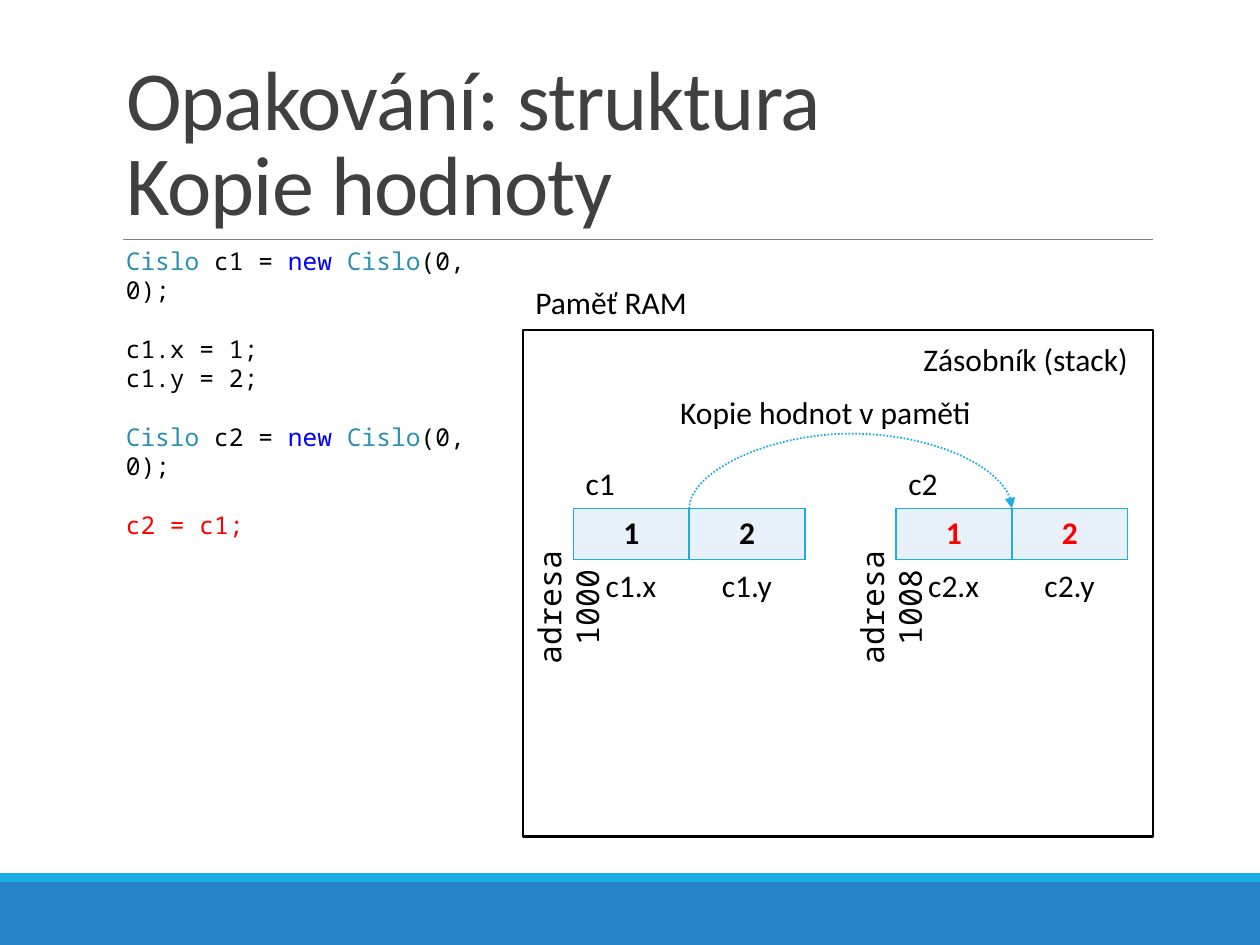
from dataclasses import dataclass

from lxml import etree
from pptx import Presentation
from pptx.dml.color import RGBColor
from pptx.enum.dml import MSO_LINE
from pptx.enum.shapes import MSO_CONNECTOR, MSO_SHAPE
from pptx.enum.text import MSO_ANCHOR, MSO_AUTO_SIZE, PP_ALIGN
from pptx.oxml.ns import qn
from pptx.util import Pt

RECTANGLE = MSO_SHAPE.RECTANGLE
STRAIGHT, CURVE = MSO_CONNECTOR.STRAIGHT, MSO_CONNECTOR.CURVE
LEFT, CENTER = PP_ALIGN.LEFT, PP_ALIGN.CENTER
BOTTOM = MSO_ANCHOR.BOTTOM
NO_FIT, GROW = MSO_AUTO_SIZE.NONE, MSO_AUTO_SIZE.SHAPE_TO_FIT_TEXT
DOTTED = MSO_LINE.ROUND_DOT

COLORS = {
    "black": "000000", "white": "FFFFFF", "title": "404040", "rule": "808080",
    "band": "2683C6", "accent": "1CADE4", "cell": "E8F1FA",
    "type": "2B91AF", "keyword": "0000FF", "red": "FF0000",
}
SANS, MONO = "Calibri", "Noto Sans Mono"
LABEL_HEIGHT = 29
FIELD_WIDTH, FIELD_HEIGHT = 66.24, 29.2
RECORD_WIDTH = 2 * FIELD_WIDTH
RECORD_TOP = 290.6
TEXT_INSET = 7.2
CODE_LINE = 16.75


@dataclass
class Record:
    name: str
    left: float
    address: str
    value_color: str


@dataclass
class CodeLine:
    tokens: list[tuple[str, str]]
    gap_before: bool = False


RECORDS = [
    Record("c1", 327.6, "adresa 1000", "black"),
    Record("c2", 512, "adresa 1008", "red"),
]


def constructor(name: str, gap_before: bool = False) -> CodeLine:
    return CodeLine([("Cislo", "type"), (f" {name} = ", "black"), ("new ", "keyword"),
                     ("Cislo", "type"), ("(0, 0);", "black")], gap_before)


CODE = [
    constructor("c1"),
    CodeLine([("c1.x = 1;", "black")], True),
    CodeLine([("c1.y = 2;", "black")]),
    constructor("c2", True),
    CodeLine([("c2 = c1;", "red")], True),
]


def rgb(color: str) -> RGBColor:
    return RGBColor.from_string(COLORS[color])


def style(font, size: float, color: str, face: str = SANS, bold: bool = False) -> None:
    font.size, font.name, font.bold = Pt(size), face, bold
    font.color.rgb = rgb(color)


def add_box(slide, left: float, top: float, width: float, height: float,
            fill: str, outline: str | None = None) -> None:
    box = slide.shapes.add_shape(RECTANGLE, Pt(left), Pt(top), Pt(width), Pt(height))
    box.shadow.inherit = False
    box.fill.solid()
    box.fill.fore_color.rgb = rgb(fill)
    if outline:
        box.line.color.rgb = rgb(outline)
        box.line.width = Pt(1.25)
    else:
        box.line.fill.background()


def add_label(slide, text: str, left: float, top: float, width: float,
              face: str = SANS, align=LEFT, rotation: float = 0,
              center_tabs: tuple[float, ...] = ()) -> None:
    label = slide.shapes.add_textbox(Pt(left), Pt(top), Pt(width), Pt(LABEL_HEIGHT))
    label.rotation = rotation
    frame = label.text_frame
    frame.word_wrap, frame.auto_size = True, GROW
    frame.text = text
    paragraph = frame.paragraphs[0]
    paragraph.alignment = align
    if center_tabs:
        tabs = etree.SubElement(paragraph._p.get_or_add_pPr(), qn("a:tabLst"))
        for position in center_tabs:
            etree.SubElement(tabs, qn("a:tab"), pos=str(Pt(position)), algn="ctr")
    for run in paragraph.runs:
        style(run.font, 18, "black", face)


def add_line(slide, kind, start: tuple[float, float], end: tuple[float, float],
             color: str, width: float):
    line = slide.shapes.add_connector(kind, *map(Pt, start + end))
    line.line.color.rgb = rgb(color)
    line.line.width = Pt(width)
    etree.SubElement(line._element.spPr, qn("a:effectLst"))
    return line


def add_title(slide) -> None:
    title = slide.shapes.title
    title.left, title.top, title.width, title.height = Pt(64.8), Pt(22.3), Pt(594), Pt(114.5)
    frame = title.text_frame
    frame.text = "Opakování: struktura\vKopie hodnoty"
    frame.vertical_anchor, frame.auto_size = BOTTOM, NO_FIT
    paragraph = frame.paragraphs[0]
    paragraph.alignment, paragraph.line_spacing = LEFT, 0.85
    for run in paragraph.runs:
        style(run.font, 48, "title")
        run._r.get_or_add_rPr().set("spc", "-50")


def add_code(slide) -> None:
    listing = slide.shapes.add_textbox(Pt(64.8), Pt(136.8), Pt(224.6), Pt(143.3))
    frame = listing.text_frame
    frame.word_wrap, frame.auto_size = True, GROW
    for index, code_line in enumerate(CODE):
        paragraph = frame.add_paragraph() if index else frame.paragraphs[0]
        if code_line.gap_before:
            paragraph.space_before = Pt(CODE_LINE)
        for text, color in code_line.tokens:
            run = paragraph.add_run()
            run.text = text
            style(run.font, 14, color, MONO)


def add_border(cell) -> None:
    properties = cell._tc.get_or_add_tcPr()
    for position, side in enumerate(("a:lnL", "a:lnR", "a:lnT", "a:lnB")):
        border = etree.Element(qn(side), w=str(Pt(1)))
        fill = etree.SubElement(border, qn("a:solidFill"))
        etree.SubElement(fill, qn("a:srgbClr"), val=COLORS["accent"])
        properties.insert(position, border)


def add_record(slide, record: Record) -> None:
    table = slide.shapes.add_table(1, 2, Pt(record.left), Pt(RECORD_TOP),
                                   Pt(RECORD_WIDTH), Pt(FIELD_HEIGHT)).table
    table.first_row = table.horz_banding = False
    for column, value in enumerate(("1", "2")):
        table.columns[column].width = Pt(FIELD_WIDTH)
        cell = table.cell(0, column)
        cell.fill.solid()
        cell.fill.fore_color.rgb = rgb("cell")
        add_border(cell)
        cell.text_frame.text = value
        paragraph = cell.text_frame.paragraphs[0]
        paragraph.alignment = CENTER
        style(paragraph.runs[0].font, 18, record.value_color, bold=True)
    field_centers = tuple((i + 0.5) * FIELD_WIDTH - TEXT_INSET for i in range(2))
    add_label(slide, f"\t{record.name}.x\t{record.name}.y", record.left, 319.8,
              RECORD_WIDTH, center_tabs=field_centers)
    add_label(slide, record.address, record.left - 79, 332.6, 130.3, MONO, CENTER, 270)
    add_label(slide, record.name, record.left, 261.4, RECORD_WIDTH)


def add_copy_arrow(slide) -> None:
    start, end = (record.left + FIELD_WIDTH for record in RECORDS)
    middle, span, depth, rise = (start + end) / 2, end - start, 0.2, 43.2
    arrow = add_line(slide, CURVE, (middle + depth / 2, RECORD_TOP + span / 2),
                     (middle - depth / 2, RECORD_TOP - span / 2), "accent", 1)
    arrow.line.dash_style = DOTTED
    etree.SubElement(arrow.line._get_or_add_ln(), qn("a:tailEnd"), type="triangle")
    properties = arrow._element.spPr
    properties.find(qn("a:xfrm")).set("rot", "5400000")
    adjustments = properties.find(qn("a:prstGeom")).find(qn("a:avLst"))
    etree.SubElement(adjustments, qn("a:gd"), name="adj1",
                     fmla=f"val {round(rise / depth * 100000)}")


def main() -> None:
    deck = Presentation()
    deck.slide_width, deck.slide_height = Pt(720), Pt(540)
    slide = deck.slides.add_slide(deck.slide_layouts[5])
    add_box(slide, 0, 504, 720, 36, "band")
    add_box(slide, 0, 499, 720, 5, "accent")
    add_line(slide, STRAIGHT, (70.5, 136.8), (658.8, 136.8), "rule", 0.5)
    add_box(slide, 298.8, 188.6, 360, 289.4, "white", "black")
    add_title(slide)
    add_label(slide, "Paměť RAM", 298.8, 158.4, 134)
    add_code(slide)
    add_label(slide, "Zásobník (stack)", 520.6, 190.8, 151.2)
    for record in RECORDS:
        add_record(slide, record)
    add_copy_arrow(slide)
    add_label(slide, "Kopie hodnot v paměti", 381.6, 221, 208)
    deck.save("out.pptx")


if __name__ == "__main__":
    main()
